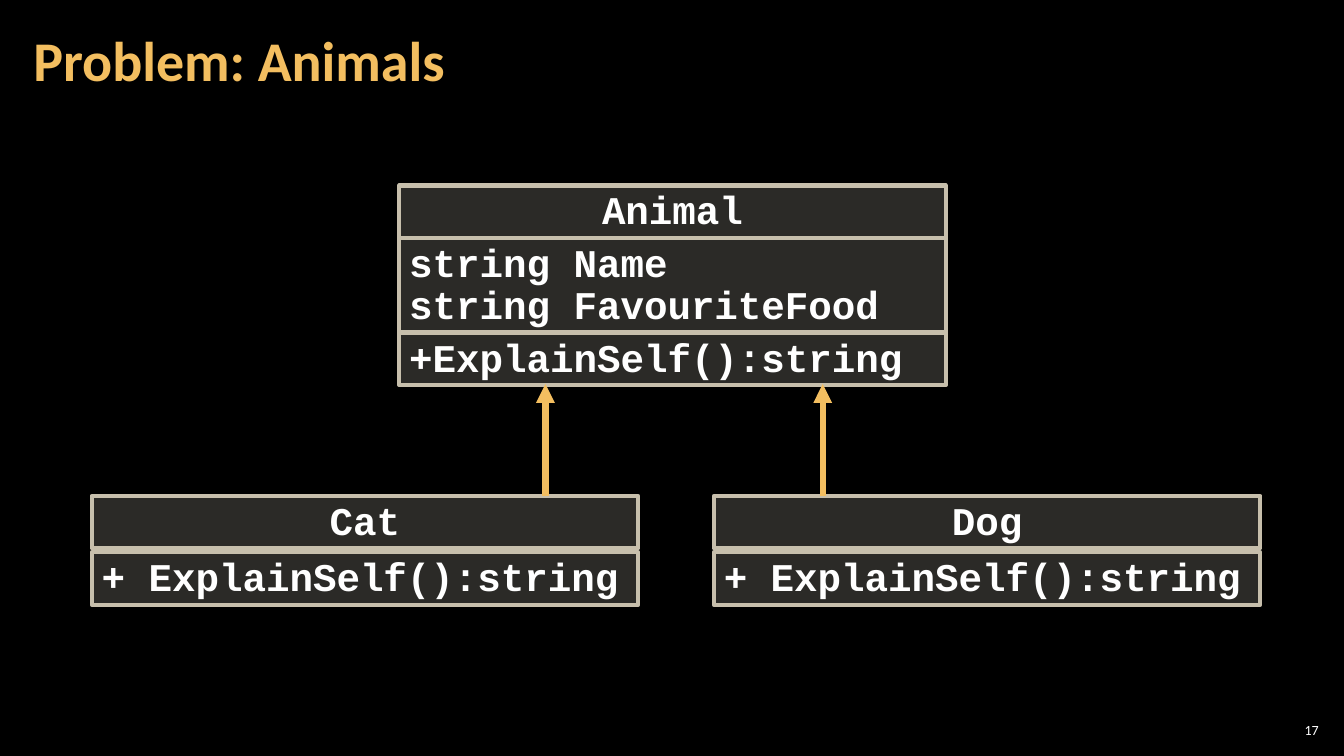
"""Build the Animals class diagram slide."""
from lxml.etree import SubElement
from pptx import Presentation
from pptx.dml.color import RGBColor
from pptx.enum.shapes import MSO_CONNECTOR, MSO_SHAPE
from pptx.enum.text import MSO_ANCHOR, MSO_AUTO_SIZE, PP_ALIGN
from pptx.oxml.ns import qn
from pptx.util import Inches, Pt

TITLE = "Problem: Animals"
PAGE_NUMBER = "17"
CLASSES = [
    {"left": 3.96, "top": 1.84, "gap": 0,
     "parts": [["Animal"], ["string Name", "string FavouriteFood"], ["+ExplainSelf():string"]]},
    {"left": 0.91, "top": 4.92, "gap": 0.04, "parts": [["Cat"], ["+ ExplainSelf():string"]]},
    {"left": 7.08, "top": 4.92, "gap": 0.04, "parts": [["Dog"], ["+ ExplainSelf():string"]]},
]
ARROW_CENTERS = [5.41, 8.16]
ARROW_BOTTOM, ARROW_TOP = 4.92, 3.81
BOX_WIDTH = 5.42
LINE_HEIGHT = 0.42
BOX_PADDING = 0.1
COLORS = {"background": "000000", "accent": "F3BE60", "text": "FFFFFF",
          "box": "D9D5C7", "border": "C7BFAC"}


def color(name):
    return RGBColor.from_string(COLORS[name])


def set_margins(frame, horizontal, vertical):
    frame.margin_left = frame.margin_right = Inches(horizontal)
    frame.margin_top = frame.margin_bottom = Inches(vertical)
    frame.vertical_anchor = MSO_ANCHOR.MIDDLE
    frame.word_wrap = True


def style_paragraph(paragraph, font_name, size, color_name, bold, alignment):
    paragraph.alignment = alignment
    font = paragraph.font
    font.name, font.size, font.bold = font_name, Pt(size), bold
    font.color.rgb = color(color_name)


def add_title(slide):
    title = slide.shapes.title
    title.left, title.top, title.width, title.height = map(Inches, (0.21, 0.04, 10.47, 1.21))
    frame = title.text_frame
    frame.text = TITLE
    frame.auto_size = MSO_AUTO_SIZE.NONE
    set_margins(frame, 0.12, 0.04)
    paragraph = frame.paragraphs[0]
    paragraph.line_spacing = Pt(40)
    style_paragraph(paragraph, "Calibri", 40, "accent", True, PP_ALIGN.LEFT)


def add_page_number(slide):
    box = slide.shapes.add_textbox(*map(Inches, (12.65, 7.14, 0.47, 0.21)))
    frame = box.text_frame
    frame.text = PAGE_NUMBER
    set_margins(frame, 0.04, 0.04)
    style_paragraph(frame.paragraphs[0], "Calibri", 10, "text", False, PP_ALIGN.RIGHT)


def add_box(slide, left, top, height, lines, alignment):
    shape = slide.shapes.add_shape(
        MSO_SHAPE.RECTANGLE, *map(Inches, (left, top, BOX_WIDTH, height)))
    shape.shadow.inherit = False
    shape.fill.solid()
    shape.fill.fore_color.rgb = color("box")
    fill_color = shape.fill._xPr.find(qn("a:solidFill"))[0]
    SubElement(fill_color, qn("a:alpha"), val="20000")
    shape.line.color.rgb = color("border")
    shape.line.width = Pt(3)
    frame = shape.text_frame
    frame.text = "\n".join(lines)
    set_margins(frame, 0.1, 0.05)
    frame.auto_size = MSO_AUTO_SIZE.SHAPE_TO_FIT_TEXT
    for paragraph in frame.paragraphs:
        paragraph.line_spacing = Pt(30)
        style_paragraph(paragraph, "Courier New", 28, "text", True, alignment)


def add_class(slide, diagram):
    top = diagram["top"]
    for index, lines in enumerate(diagram["parts"]):
        height = len(lines) * LINE_HEIGHT + BOX_PADDING
        alignment = PP_ALIGN.LEFT if index else PP_ALIGN.CENTER
        add_box(slide, diagram["left"], top, height, lines, alignment)
        top += height + diagram["gap"]


def add_arrow(slide, center):
    arrow = slide.shapes.add_connector(
        MSO_CONNECTOR.STRAIGHT, *map(Inches, (center, ARROW_BOTTOM, center, ARROW_TOP)))
    arrow.line.color.rgb = color("accent")
    arrow.line.width = Pt(4.5)
    SubElement(arrow.line._get_or_add_ln(), qn("a:tailEnd"), type="triangle")
    SubElement(arrow._element.spPr, qn("a:effectLst"))


def main():
    presentation = Presentation()
    presentation.slide_width = Inches(13.33)
    presentation.slide_height = Inches(7.5)
    slide = presentation.slides.add_slide(presentation.slide_layouts[5])
    slide.background.fill.solid()
    slide.background.fill.fore_color.rgb = color("background")
    add_title(slide)
    add_page_number(slide)
    for diagram in CLASSES:
        add_class(slide, diagram)
    for center in ARROW_CENTERS:
        add_arrow(slide, center)
    presentation.save("out.pptx")


if __name__ == "__main__":
    main()
